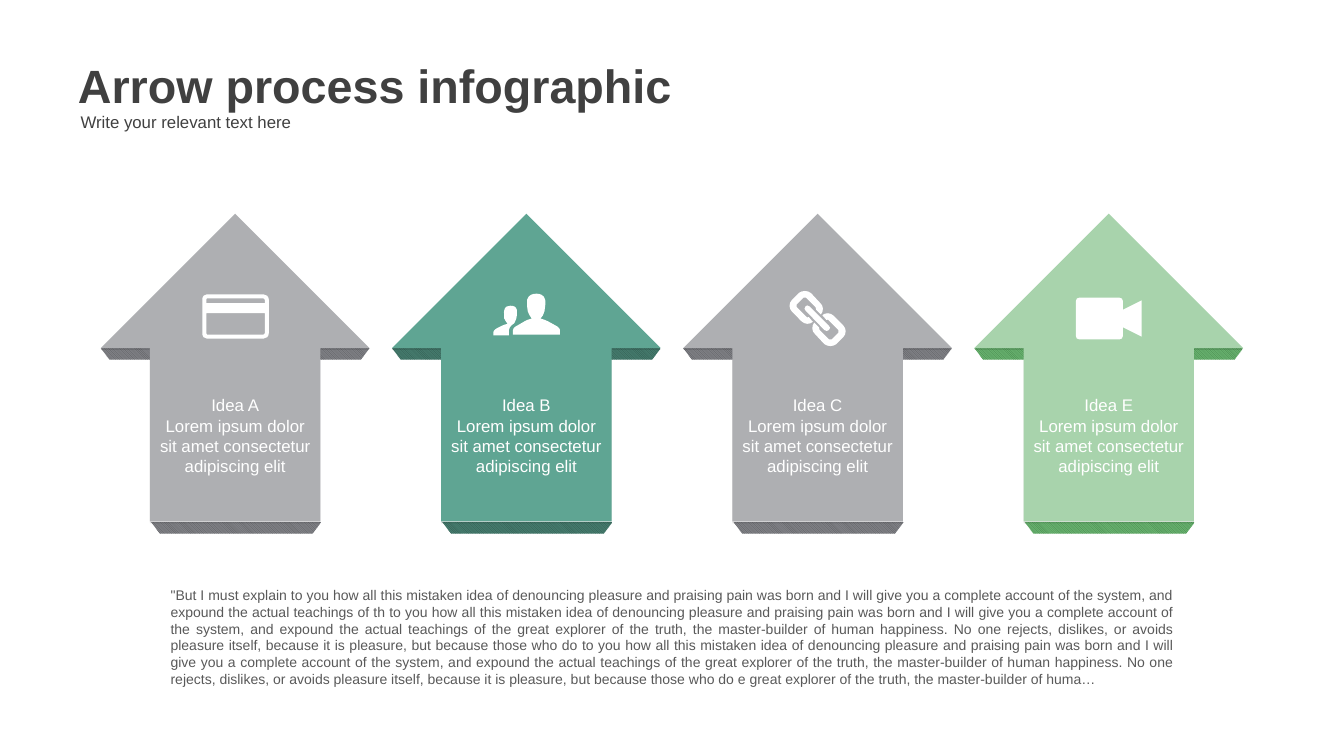
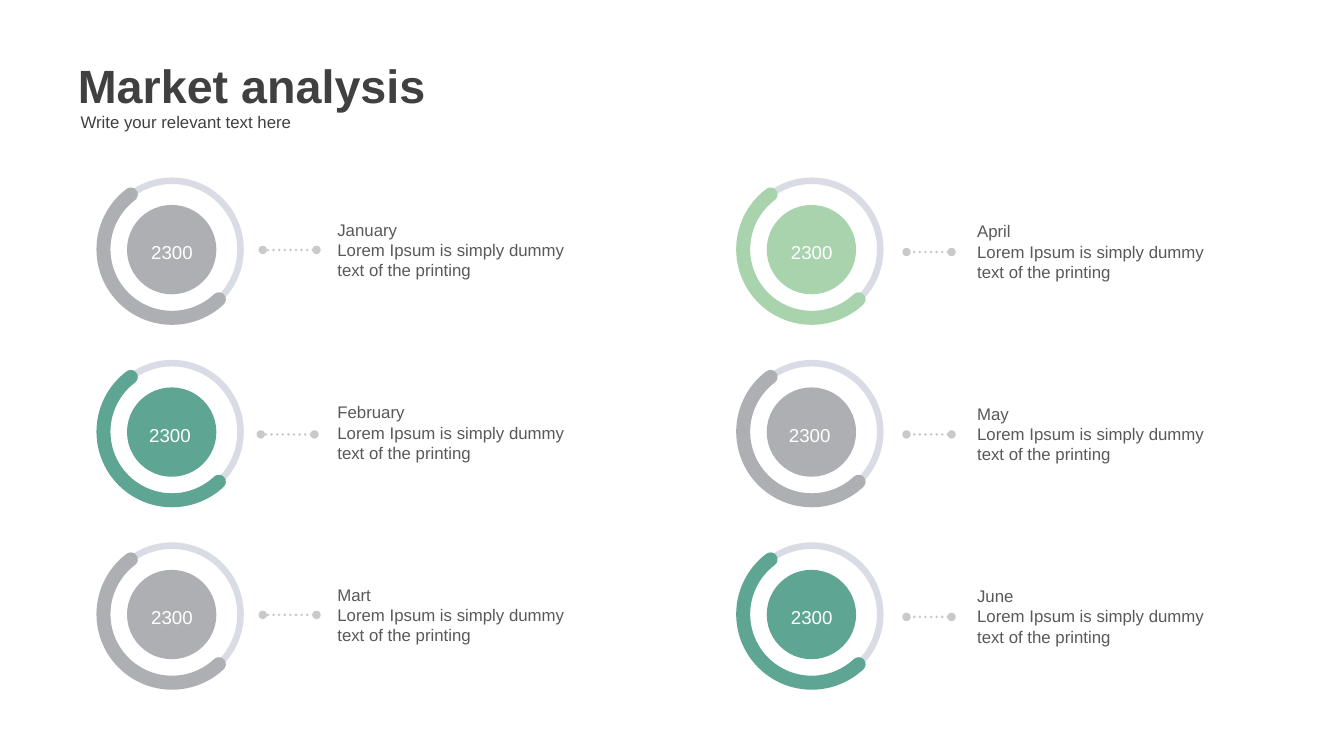
from lxml.etree import SubElement
from pptx import Presentation
from pptx.dml.color import RGBColor
from pptx.enum.dml import MSO_LINE, MSO_PATTERN
from pptx.enum.shapes import MSO_CONNECTOR, MSO_SHAPE
from pptx.enum.text import MSO_ANCHOR, MSO_AUTO_SIZE, PP_ALIGN
from pptx.oxml.ns import qn
from pptx.util import Inches, Pt

GREY, TEAL, MINT = "AEAFB2", "5FA593", "A8D3AC"
WHITE, DARK, BODY, RING, DOTS = "FFFFFF", "404040", "595959", "D9DCE5", "A6A6A6"
FOLDS = {GREY: ("56575A", "818287"), TEAL: ("2F534A", "467D6F"), MINT: ("407E45", "69B370")}
COLS = 20
LOREM = "Lorem ipsum dolor sit amet consectetur adipiscing elit"
PLAIN = "Lorem Ipsum is simply dummy\ntext of the printing"
TRUTH = "great explorer of the truth, the master-builder of "
DUTY = ("to you how all this mistaken idea of denouncing pleasure and praising pain was born "
        "and I will give you a complete account of the system, and expound the actual teachings of ")
JOY = ("the " + TRUTH + "human happiness. No one rejects, dislikes, or avoids pleasure itself, "
       "because it is pleasure, but because those who do ")
QUOTE = '"But I must explain ' + DUTY + "th " + (DUTY + JOY) * 2 + "e " + TRUTH + "huma…"

CARD = """M 42 -36 L -42 -36 C -46 -36 -49 -33 -49 -28 L -49 22 C -49 27 -46 30 -42 30
L 42 30 C 46 30 50 27 50 22 L 50 -28 C 50 -33 46 -36 42 -36
M -42 -30 L 42 -30 C 43 -30 44 -29 44 -28 L 44 -23 L -43 -23 L -43 -28 C -43 -29 -43 -30 -42 -30
M 42 24 L -42 24 C -43 24 -43 23 -43 22 L -43 -8 L 44 -8 L 44 22 C 44 23 43 24 42 24"""
CHILD = """M -26 18 C -26 16 -25 11 -18 7 C -17 5 -16 3 -15 0 C -14 -2 -14 -4 -14 -6
C -14 -8 -14 -11 -14 -12 C -15 -18 -19 -19 -24 -19 C -28 -19 -32 -18 -33 -12
C -34 -11 -33 -8 -33 -6 C -33 -4 -33 -2 -33 0 C -31 3 -30 6 -28 8
C -35 9 -40 13 -43 14 C -49 17 -49 20 -49 20 L -49 25 L -26 25"""
ADULT = """M 41 9 C 37 7 30 2 21 0 C 24 -2 25 -6 27 -11 C 28 -14 28 -16 28 -19
C 28 -22 29 -26 28 -28 C 26 -35 21 -37 15 -37 C 9 -37 3 -35 1 -28
C 1 -26 1 -22 1 -19 C 1 -16 1 -14 2 -11 C 4 -6 6 -2 8 0 C -1 2 -7 7 -11 9
C -20 13 -20 17 -20 17 L -20 24 L 50 24 L 50 17 C 50 17 50 13 41 9"""
LINK = """M -13 -2 C -15 -1 -16 -2 -17 -3 L -31 -17 C -32 -18 -32 -20 -31 -21
L -21 -31 C -20 -32 -18 -32 -17 -31 L -3 -17 C -2 -16 -2 -14 -2 -13
L 5 -6 C 9 -11 9 -19 4 -23 L -10 -38 C -15 -42 -23 -42 -28 -38
L -38 -28 C -43 -23 -43 -15 -38 -10 L -24 4 C -19 9 -12 9 -7 5 L -13 -2"""
BAR = """M -18 -18 C -20 -16 -20 -13 -18 -12 L 10 17 C 12 19 15 19 17 17
C 19 15 19 12 17 11 L -12 -18 C -14 -20 -17 -20 -18 -18"""
FILM = """M 21 -13 L 21 -26 C 21 -29 19 -31 16 -31 L -44 -31 C -47 -31 -49 -29 -49 -26
L -49 26 C -49 29 -47 31 -44 31 L 16 31 C 19 31 21 29 21 26 L 21 13 L 49 27 L 49 -27 L 21 -13"""

IDEAS = [
    ("Idea A", GREY, [(CARD, 1)]),
    ("Idea B", TEAL, [(CHILD, 1), (ADULT, 1)]),
    ("Idea C", GREY, [(LINK, 1), (LINK, -1), (BAR, 1)]),
    ("Idea E", MINT, [(FILM, 1)]),
]
MONTHS = [("January", GREY), ("February", TEAL), ("Mart", GREY),
          ("April", MINT), ("May", GREY), ("June", TEAL)]


def paint(code):
    return RGBColor.from_string(code)


def write(frame, text, size=18, color=BODY, bold=False, align=None,
          anchor=MSO_ANCHOR.TOP, inset=(0.1, 0.05, 0.1, 0.05)):
    frame.word_wrap = True
    frame.vertical_anchor = anchor
    (frame.margin_left, frame.margin_top,
     frame.margin_right, frame.margin_bottom) = map(Inches, inset)
    frame.text = text
    for para in frame.paragraphs:
        para.alignment = align
        for run in para.runs:
            font = run.font
            font.name, font.size, font.bold = "Arial", Pt(size), bold
            font.color.rgb = paint(color)


def trace(code, sign):
    for loop in code.split("M")[1:]:
        nums = [int(word) * 100 * sign for word in loop.split() if word not in "LC"]
        yield list(zip(nums[::2], nums[1::2]))


def bend(item, code):
    nodes = iter(list(item._element.spPr.iter(qn("a:lnTo"))))
    for word in code.split():
        if word in "LC":
            node = next(nodes)
        if word == "C":
            node.tag = qn("a:cubicBezTo")
            for spare in (next(nodes), next(nodes)):
                node.append(spare[0])
                spare.getparent().remove(spare)


class Deck:
    def __init__(self):
        self.file = Presentation()
        self.file.slide_width, self.file.slide_height = Inches(20), Inches(11.25)
        self.unit = self.file.slide_width / COLS

    def grid(self, *spans):
        return [round(span * self.unit) for span in spans]

    def start(self, title, width):
        self.page = self.file.slides.add_slide(self.file.slide_layouts[6])
        self.loose()
        self.text(title, 1.06, 0.79, width, 0.94, size=50, color=DARK, bold=True,
                  align=PP_ALIGN.JUSTIFY)
        self.text("Write your relevant text here", 1.1, 1.61, 9.04, 0.4, color=DARK)

    def loose(self):
        self.pen = self.page.shapes

    def group(self):
        self.pen = self.page.shapes.add_group_shape().shapes

    def text(self, text, *box, **style):
        frame = self.pen.add_textbox(*self.grid(*box)).text_frame
        write(frame, text, **style)
        frame.auto_size = MSO_AUTO_SIZE.SHAPE_TO_FIT_TEXT

    def shape(self, kind, *box, fill=None, bends=()):
        item = self.pen.add_shape(kind, *self.grid(*box))
        self.clean(item, fill)
        for at, value in enumerate(bends):
            item.adjustments[at] = value
        return item

    def clean(self, item, fill):
        item.shadow.inherit = False
        item.line.fill.background()
        if fill:
            item.fill.solid()
            item.fill.fore_color.rgb = paint(fill)
        else:
            item.fill.background()

    def fold(self, tone, *box):
        item = self.shape(MSO_SHAPE.TRAPEZOID, *box, bends=[0.751])
        item.rotation = 180
        item.fill.patterned()
        item.fill.pattern = MSO_PATTERN.DARK_DOWNWARD_DIAGONAL
        fore, back = FOLDS[tone]
        item.fill.fore_color.rgb, item.fill.back_color.rgb = paint(fore), paint(back)

    def arrow(self, text, tone, *box):
        item = self.shape(MSO_SHAPE.UP_ARROW, *box, fill=tone, bends=[0.634, 0.5])
        write(item.text_frame, text, color=WHITE, align=PP_ALIGN.CENTER,
              anchor=MSO_ANCHOR.MIDDLE, inset=(0.14, 0.75, 0.14, 0))
        glow = item._element.spPr.find(qn("a:effectLst"))
        cast = SubElement(glow, qn("a:outerShdw"), dist=str(Pt(2)), dir="5400000",
                          algn="t", rotWithShape="0")
        shade = SubElement(cast, qn("a:srgbClr"), val="000000")
        SubElement(shade, qn("a:alpha"), val="10000")

    def icon(self, code, sign, x, y):
        first, *rest = trace(code, sign)
        pen = self.pen.build_freeform(*first[0], scale=self.unit / 10000)
        pen.add_line_segments(first[1:], close=True)
        for loop in rest:
            pen.move_to(*loop[0])
            pen.add_line_segments(loop[1:], close=True)
        item = pen.convert_to_shape(*self.grid(x, y))
        self.clean(item, WHITE)
        bend(item, code)

    def arc(self, x, y, size, tone, width, end, cap):
        item = self.shape(MSO_SHAPE.ARC, x, y, size, size, bends=[28.117, end])
        item.line.color.rgb, item.line.width = paint(tone), Pt(width)
        item._element.spPr.find(qn("a:ln")).set("cap", cap)

    def dots(self, *ends):
        item = self.pen.add_connector(MSO_CONNECTOR.STRAIGHT, *self.grid(*ends))
        item.line.color.rgb, item.line.width = paint(DOTS), Pt(3)
        item.line.dash_style = MSO_LINE.ROUND_DOT
        form = item._element.spPr
        edge = form.find(qn("a:ln"))
        edge.set("cap", "rnd")
        SubElement(edge.find(".//" + qn("a:srgbClr")), qn("a:alpha"), val="60000")
        for tip in ("a:headEnd", "a:tailEnd"):
            SubElement(edge, qn(tip), type="oval")
        SubElement(form, qn("a:effectLst"))


def ideas(deck):
    deck.start("Arrow process infographic", 11.35)
    for at, (name, tone, icons) in enumerate(IDEAS):
        left = 1.5 + at * 13 / 3
        deck.group()
        deck.fold(tone, left, 5.18, 4, 0.17)
        deck.fold(tone, left + 0.75, 7.77, 2.53, 0.17)
        deck.arrow(name + "\n" + LOREM, tone, left, 3.18, 4, 4.58)
        for code, sign in icons:
            deck.icon(code, sign, left + 2, 4.74)
    deck.loose()
    deck.text(QUOTE, 2.44, 8.68, 15.13, 1.62, size=15, align=PP_ALIGN.JUSTIFY)


def market(deck):
    deck.start("Market analysis", 7.25)
    tight = (0.07, 0.04, 0.07, 0.04)
    for at, (month, tone) in enumerate(MONTHS):
        col, row = divmod(at, 3)
        x, y = 1.54 + 9.52 * col, 2.69 + 2.715 * row
        nudge = 0.03 if row == 1 else 0
        near, far = (2.43, 3.1) if col else (2.37 - nudge, 3.17 - nudge)
        level = y + (1.06 if col else 1.03 + nudge)
        deck.group()
        deck.arc(x, y, 2.04, RING, 7, 27.889, "flat")
        deck.arc(x, y, 2.04, tone, 15, 139.842, "rnd")
        deck.text(month + "\n" + PLAIN, x + 3.41, y + 0.54 + 0.02 * col, 3.78, 0.98, inset=tight)
        deck.shape(MSO_SHAPE.OVAL, x + 0.35, y + 0.36, 1.33, 1.33, fill=tone)
        deck.dots(x + far, level, x + near, level)
        deck.text("2300", x + 0.52 - nudge, y + 0.86, 1, 0.41, size=20, color=WHITE,
                  align=PP_ALIGN.CENTER, inset=tight)


def main():
    deck = Deck()
    ideas(deck)
    market(deck)
    deck.file.save("out.pptx")


if __name__ == "__main__":
    main()
